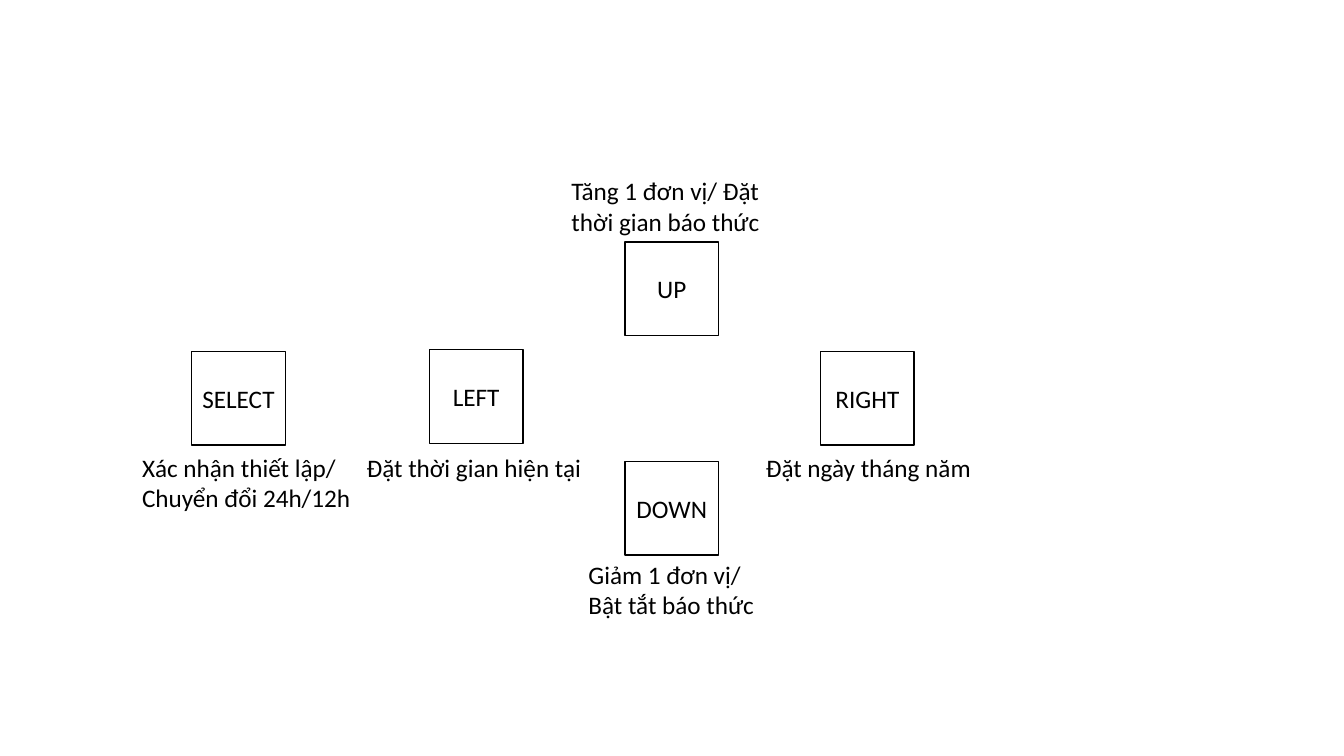
import dataclasses

import pptx
import pptx.dml.color
import pptx.enum.shapes
import pptx.enum.text
import pptx.util

Cm = pptx.util.Cm
Pt = pptx.util.Pt
Align = pptx.enum.text.PP_ALIGN
Anchor = pptx.enum.text.MSO_ANCHOR


@dataclasses.dataclass(frozen=True)
class Theme:
    ink = pptx.dml.color.RGBColor(0, 0, 0)
    paper = pptx.dml.color.RGBColor(255, 255, 255)
    font = "Calibri"
    text_size = Pt(18)
    line_width = Pt(1)
    key_side = 2.36
    line_height = 0.78
    caption_padding = 0.24


THEME = Theme()

KEYS = [
    ("SELECT", (4.83, 8.86), "Xác nhận thiết lập/ Chuyển đổi 24h/12h", (-1.5, 2.41), 5.99, 2),
    ("DOWN", (15.75, 11.63), "Giảm 1 đơn vị/ Bật tắt báo thức", (-1.17, 2.34), 5.23, 2),
    ("LEFT", (10.82, 8.81), "Đặt thời gian hiện tại", (-1.83, 2.46), 5.99, 1),
    ("UP", (15.75, 6.1), "Tăng 1 đơn vị/ Đặt thời gian báo thức", (-1.6, -1.8), 5.64, 2),
    ("RIGHT", (20.68, 8.86), "Đặt ngày tháng năm", (-1.63, 2.41), 6.43, 1),
]


def apply_format(target, values):
    for name, value in values.items():
        setattr(target, name, value)


def write_text(shape, text, align, frame_format):
    frame = shape.text_frame
    apply_format(frame, {"word_wrap": True, **frame_format})
    para = frame.paragraphs[0]
    para.alignment = align
    span = para.add_run()
    span.text = text
    apply_format(span.font, {"name": THEME.font, "size": THEME.text_size})
    span.font.color.rgb = THEME.ink


def draw_key(page, label, left, top):
    side = Cm(THEME.key_side)
    key = page.shapes.add_shape(
        pptx.enum.shapes.MSO_SHAPE.RECTANGLE, Cm(left), Cm(top), side, side
    )
    key.shadow.inherit = False
    key.fill.solid()
    key.fill.fore_color.rgb = THEME.paper
    key.line.color.rgb = THEME.ink
    key.line.width = THEME.line_width
    margins = {"margin_left": Cm(0.2), "margin_right": Cm(0.2)}
    write_text(key, label, Align.CENTER, {"vertical_anchor": Anchor.MIDDLE, **margins})


def draw_caption(page, text, left, top, width, lines):
    height = lines * THEME.line_height + THEME.caption_padding
    caption = page.shapes.add_textbox(Cm(left), Cm(top), Cm(width), Cm(height))
    grow = pptx.enum.text.MSO_AUTO_SIZE.SHAPE_TO_FIT_TEXT
    write_text(caption, text, Align.LEFT, {"auto_size": grow})


def draw_keypad(page):
    for label, (left, top), *_ in KEYS:
        draw_key(page, label, left, top)
    for _, (left, top), text, (shift_x, shift_y), width, lines in reversed(KEYS):
        draw_caption(page, text, left + shift_x, top + shift_y, width, lines)


def main():
    deck = pptx.Presentation()
    apply_format(deck, {"slide_width": Cm(33.87), "slide_height": Cm(19.05)})
    page = deck.slides.add_slide(deck.slide_layouts.get_by_name("Blank"))
    draw_keypad(page)
    deck.save("out.pptx")


if __name__ == "__main__":
    main()
